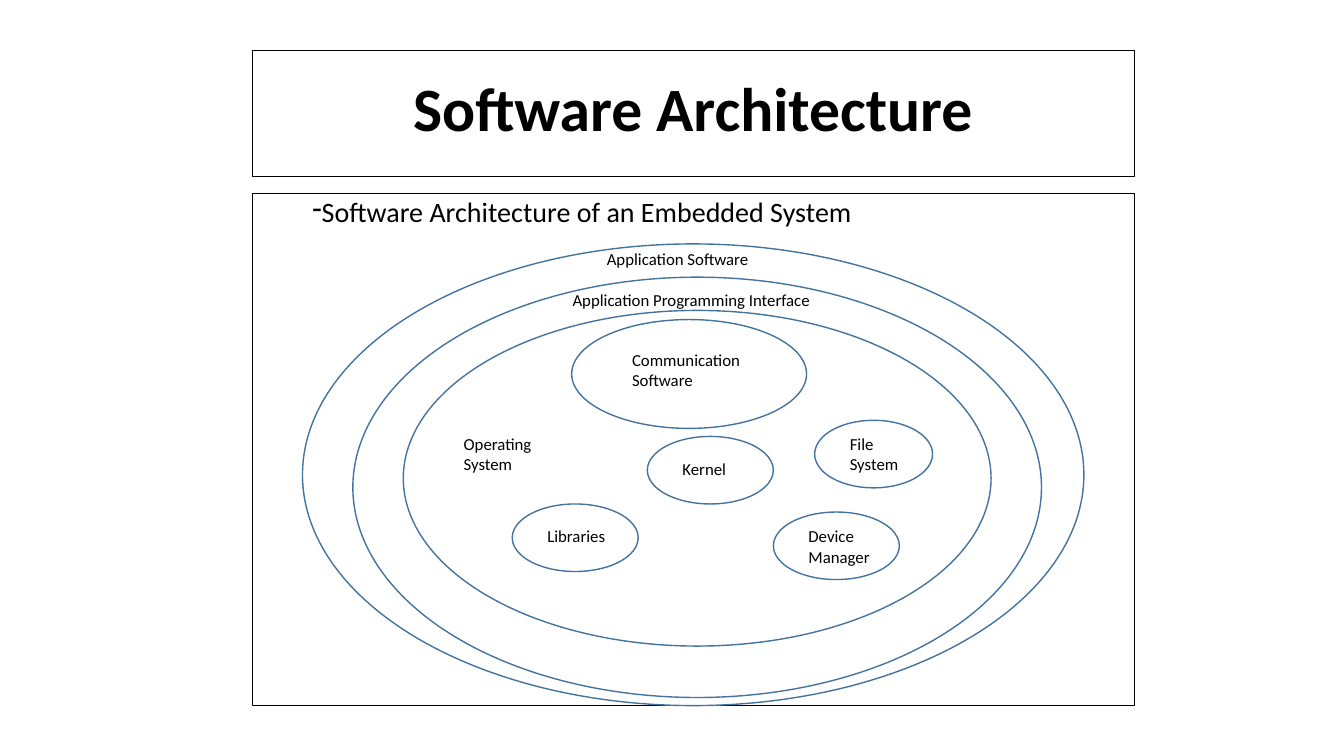
"""Build the slide on the software architecture of an embedded system."""
from lxml import etree
from pptx import Presentation
from pptx.dml.color import RGBColor
from pptx.enum.shapes import MSO_SHAPE as Shape
from pptx.enum.text import MSO_ANCHOR as Anchor, PP_ALIGN as Align
from pptx.oxml.ns import qn
from pptx.util import Inches, Pt

BLACK = RGBColor(0x00, 0x00, 0x00)
BLUE = RGBColor(0x43, 0x73, 0x9E)


def add_outline(kind, bounds, color, weight):
    outline = slide.shapes.add_shape(kind, *map(Inches, bounds))
    outline.shadow.inherit = False
    outline.fill.background()
    outline.line.color.rgb = color
    outline.line.width = Pt(weight)
    return outline


def write_lines(box, lines, size, bold=False, align=Align.LEFT, anchor=Anchor.TOP):
    frame = box.text_frame
    frame.word_wrap = True
    frame.vertical_anchor = anchor
    frame.text = "\n".join(lines)
    for para in frame.paragraphs:
        para.alignment = align
        para.font.name = "Calibri"
        para.font.size = Pt(size)
        para.font.bold = bold
        para.font.color.rgb = BLACK
    return frame


deck = Presentation()
deck.slide_width, deck.slide_height = Inches(13.33), Inches(7.5)
slide = deck.slides.add_slide(deck.slide_layouts[6])

title = add_outline(Shape.RECTANGLE, (2.5, 0.5, 8.75, 1.25), BLACK, 0.75)
title_frame = write_lines(title, ["Software Architecture"], 44, True, Align.CENTER, Anchor.BOTTOM)
title_frame.margin_bottom = Inches(0.32)

panel = add_outline(Shape.RECTANGLE, (2.5, 1.92, 8.75, 5.08), BLACK, 0.5)
panel_frame = write_lines(
    panel, ["Software Architecture of an Embedded System"], 20, align=Align.JUSTIFY
)
heading = panel_frame.paragraphs[0]
heading.line_spacing = 0.9
heading.space_before = Pt(5)
properties = heading._p.get_or_add_pPr()
properties.set("marL", str(Inches(0.5)))
properties.set("indent", "0")
bullet = etree.Element(qn("a:buChar"), char="-")
properties.find(qn("a:defRPr")).addprevious(bullet)

parts = [
    ((4, 3.08, 5.83, 3.33), (4.5, 4.25, 1.42), ["Operating", "System"]),
    ((7.67, 5.08, 1.25, 0.67), (7.92, 5.17, 0.83), ["Device", "Manager"]),
    ((8.08, 4.17, 1.17, 0.67), (8.33, 4.25, 0.83), ["File", "System"]),
    ((6.42, 4.33, 1.25, 0.67), (6.67, 4.5, 0.83), ["Kernel"]),
    ((5.08, 5, 1.25, 0.67), (5.33, 5.17, 0.83), ["Libraries"]),
    ((5.67, 3.17, 2.33, 1.08), (6.17, 3.42, 1.32), ["Communication", "Software"]),
    ((3.5, 2.75, 6.83, 4.17), (5.58, 2.83, 2.75), ["Application Programming Interface"]),
    ((3, 2.42, 7.75, 4.58), (5.92, 2.42, 2.75), ["Application Software"]),
]
for ellipse, label_place, lines in parts:
    add_outline(Shape.OVAL, ellipse, BLUE, 1)
    label_height = 0.1 + 0.2 * len(lines)
    label = slide.shapes.add_textbox(*map(Inches, (*label_place, label_height)))
    write_lines(label, lines, 12)

deck.save("out.pptx")
